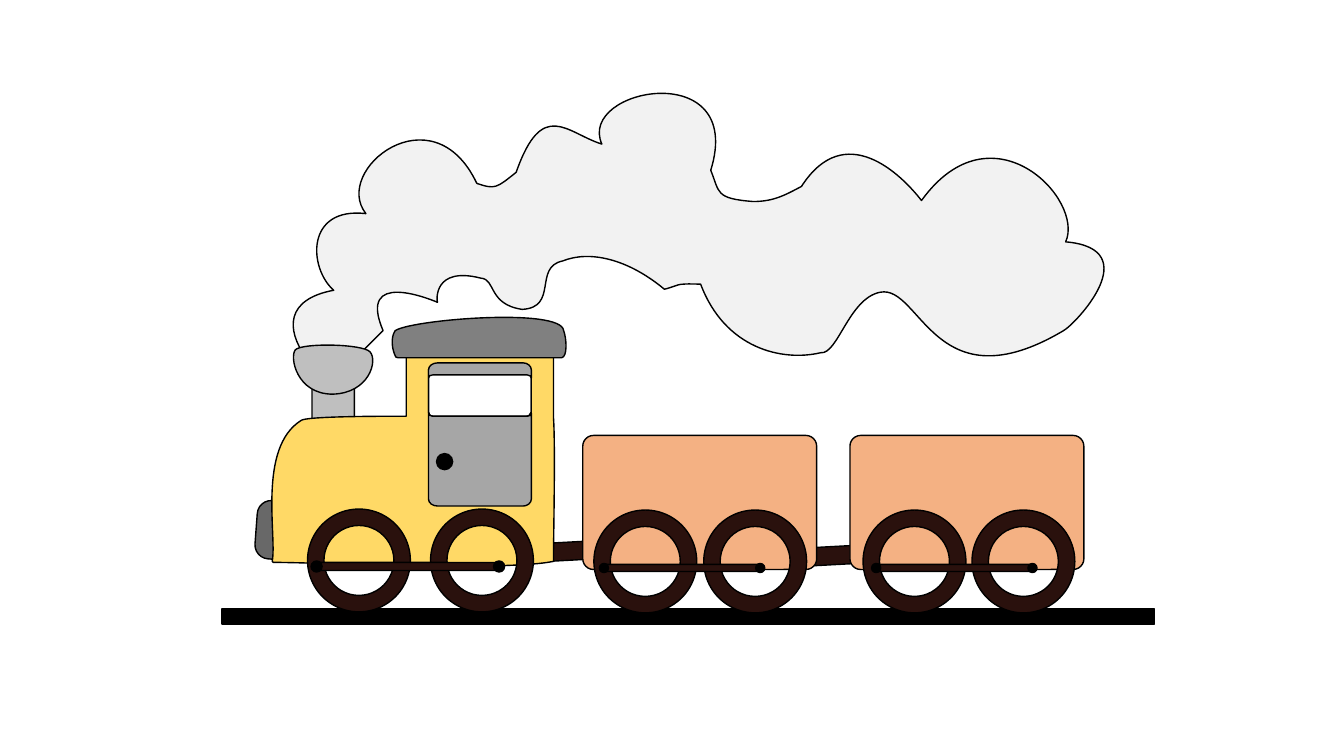
import pptx
import pptx.util
import pptx.dml.color
import pptx.enum.shapes
import pptx.oxml.ns
import lxml.etree

COLS, ROWS = 1333, 750
CELL = pptx.util.Inches(0.01)
KIND = pptx.enum.shapes.MSO_SHAPE
HUES = {
    "black": "000000", "smoke": "F2F2F2", "lamp": "686868", "wheel": "2A110D",
    "funnel": "BFBFBF", "cab": "FFD966", "door": "A6A6A6", "car": "F4B183",
    "roof": "808080",
}

SMOKE = [
    (303, 354), (284, 327, 283, 297, 331, 288), (306, 266, 303, 205, 363, 212),
    (329, 169, 429, 89, 473, 182), (491, 188, 492, 187, 512, 171),
    (538, 97, 562, 132, 597, 143), (572, 87, 740, 56, 705, 169),
    (714, 191, 709, 197, 747, 200), (767, 200, 778, 194, 795, 185),
    (838, 118, 894, 173, 914, 199), (984, 102, 1076, 198, 1057, 240),
    (1138, 247, 1066, 322, 1055, 328), (927, 404, 913, 282, 873, 290),
    (842, 296, 831, 352, 814, 350), (776, 359, 719, 346, 695, 282),
    (668, 281, 675, 283, 659, 287), (623, 257, 585, 248, 558, 259),
    (529, 265, 554, 305, 518, 307), (484, 302, 492, 277, 477, 276),
    (430, 264, 433, 298, 434, 300), (427, 297, 354, 267, 380, 328),
    (356, 352), (341, 348, 314, 363, 300, 359), (303, 354),
]
FUNNEL = [
    (293, 347), (300, 340, 359, 341, 367, 349), (375, 358, 366, 390, 330, 391),
    (294, 391, 287, 354, 293, 347),
]
WINDOW = [
    (429, 363), (522, 363), (524, 363, 525, 363, 525, 364), (527, 367),
    (527, 409), (525, 412), (525, 413, 524, 413, 522, 413), (429, 413),
    (427, 413, 425, 412, 425, 409), (425, 367), (425, 365, 427, 363, 429, 363),
]
CAB = [
    (415, 326), (537, 326), (544, 326, 549, 332, 549, 338), (549, 414),
    (551, 443, 549, 533, 549, 557), (499, 567, 317, 558, 271, 558),
    (271, 558, 270, 558, 270, 557), (275, 533, 255, 444, 299, 417),
    (304, 414, 346, 413, 397, 413), (403, 413), (403, 338),
    (403, 332, 408, 326, 415, 326),
]
DOOR = [
    (434, 360), (519, 360), (523, 360, 527, 363, 527, 367), (527, 375),
    (526, 373), (525, 372, 524, 372, 523, 372), (429, 372),
    (427, 372, 425, 373, 425, 375), (425, 410), (425, 411, 427, 413, 429, 413),
    (523, 413), (524, 413, 525, 413, 526, 412), (527, 410), (527, 495),
    (527, 499, 523, 502, 519, 502), (434, 502), (429, 502, 425, 499, 425, 495),
    (425, 367), (425, 363, 429, 360, 434, 360),
]
ROOF = [
    (395, 355), (393, 355, 392, 354, 392, 353), (389, 347, 387, 335, 392, 328),
    (409, 317, 557, 305, 559, 328), (562, 336, 563, 354, 557, 355), (395, 355),
]

LINKS = [(533, 538), (802, 542)]
CARS = [578, 843]
WHEELS = [(305, 505), (427, 505), (589, 506), (698, 506), (856, 506), (964, 506)]
RODS = [(314, 558, 182, 8, 11), (599, 560, 156, 7, 9), (869, 560, 156, 7, 9)]


def paint(shape, hue):
    """Give a shape its fill, if any, and a thin black edge."""
    shape.shadow.inherit = False
    if hue:
        shape.fill.solid()
        shape.fill.fore_color.rgb = pptx.dml.color.RGBColor.from_string(HUES[hue])
    else:
        shape.fill.background()
    shape.line.color.rgb = pptx.dml.color.RGBColor.from_string(HUES["black"])
    shape.line.width = pptx.util.Pt(1)


def block(train, kind, box, hue, turn=0, bend=None):
    """Add a preset shape whose box is in grid columns and rows."""
    shape = train.add_shape(kind, *(round(side * CELL) for side in box))
    shape.rotation = turn
    if bend is not None:
        shape.adjustments[0] = bend
    paint(shape, hue)


def draw(track, tag, dots=()):
    """Add one step of a free shape, with its points in slide units."""
    step = lxml.etree.SubElement(track, pptx.oxml.ns.qn(tag))
    for x, y in dots:
        lxml.etree.SubElement(step, pptx.oxml.ns.qn("a:pt"), x=str(x), y=str(y))


def outline(train, hue, box, *rings):
    """Add a free shape of lines and curves; rings after the first are holes."""
    left, top, width, height = box
    edge = [(left + width, top), (left + width, top + height), (left, top + height)]
    pen = train.build_freeform(left, top, scale=CELL)
    pen.add_line_segments(edge)
    shape = pen.convert_to_shape()
    track = next(shape.element.iter(pptx.oxml.ns.qn("a:path")))
    track.set("w", str(width * CELL))
    track.set("h", str(height * CELL))
    for step in list(track):
        track.remove(step)
    for ring in rings:
        for place, part in enumerate(ring):
            tag = "a:lnTo" if len(part) == 2 else "a:cubicBezTo"
            dots = [((x - left) * CELL, (y - top) * CELL)
                    for x, y in zip(part[::2], part[1::2])]
            draw(track, tag if place else "a:moveTo", dots)
        draw(track, "a:close")
    paint(shape, hue)


def disc(train, x, y, size):
    """Add a black dot centred on a grid point."""
    block(train, KIND.OVAL, (x - size / 2, y - size / 2, size, size), "black")


def engine(train):
    """Draw the engine with its smoke, without wheels."""
    outline(train, "smoke", (291, 93, 804, 267), SMOKE)
    block(train, KIND.ROUNDED_RECTANGLE, (270, 420, 121, 42), "funnel", 270, 0.08)
    outline(train, "funnel", (291, 342, 79, 49), FUNNEL)
    outline(train, None, (425, 363, 102, 50), WINDOW)
    outline(train, "cab", (270, 326, 280, 236), CAB, WINDOW)
    outline(train, "door", (425, 360, 102, 142), DOOR)


def gear(train):
    """Draw the wheels, then the rods and the pins at their ends."""
    for x, y in WHEELS:
        block(train, KIND.DONUT, (x, y, 102, 102), "wheel", bend=0.16)
    for x, y, width, height, pin in RODS:
        block(train, KIND.ROUNDED_RECTANGLE, (x, y, width, height), "wheel")
        for end in (x, x + width - 1):
            disc(train, end, y + height / 2, pin)


def main():
    """Build the slide and save it."""
    deck = pptx.Presentation()
    deck.slide_width, deck.slide_height = COLS * CELL, ROWS * CELL
    slide = deck.slides.add_slide(deck.slide_layouts[6])
    train = slide.shapes.add_group_shape().shapes
    block(train, KIND.ROUNDED_RECTANGLE, (246, 505, 58, 42), "lamp", 274.2, 0.33)
    for x, y in LINKS:
        block(train, KIND.ROUNDED_RECTANGLE, (x, y, 58, 18), "wheel", 356.9, 0.33)
    engine(train)
    for x in CARS:
        block(train, KIND.ROUNDED_RECTANGLE, (x, 432, 232, 133), "car", bend=0.08)
    outline(train, "roof", (389, 315, 172, 40), ROOF)
    disc(train, 441, 458, 16)
    block(train, KIND.RECTANGLE, (220, 604, 925, 15), "black")
    gear(train)
    deck.save("out.pptx")


if __name__ == "__main__":
    main()
